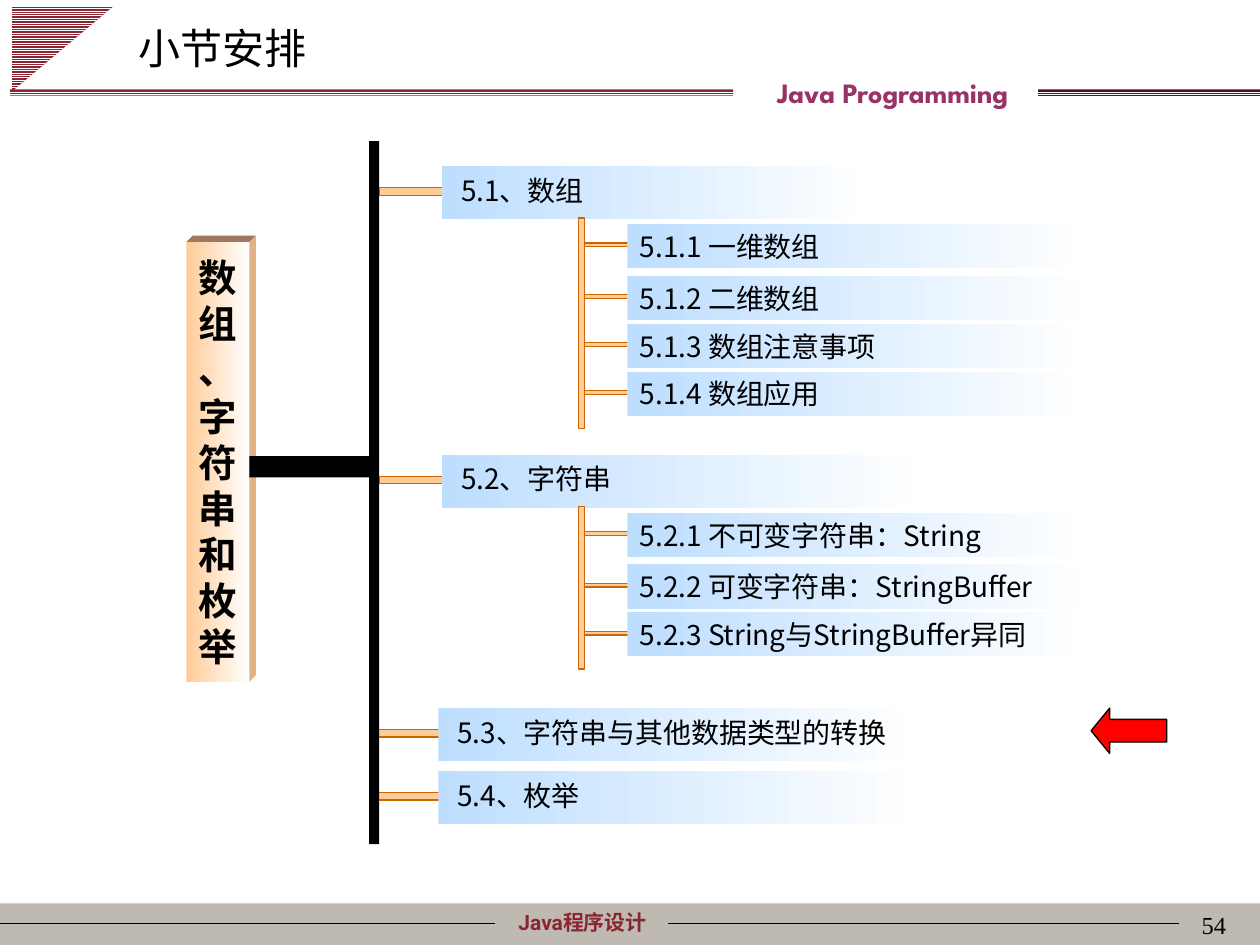
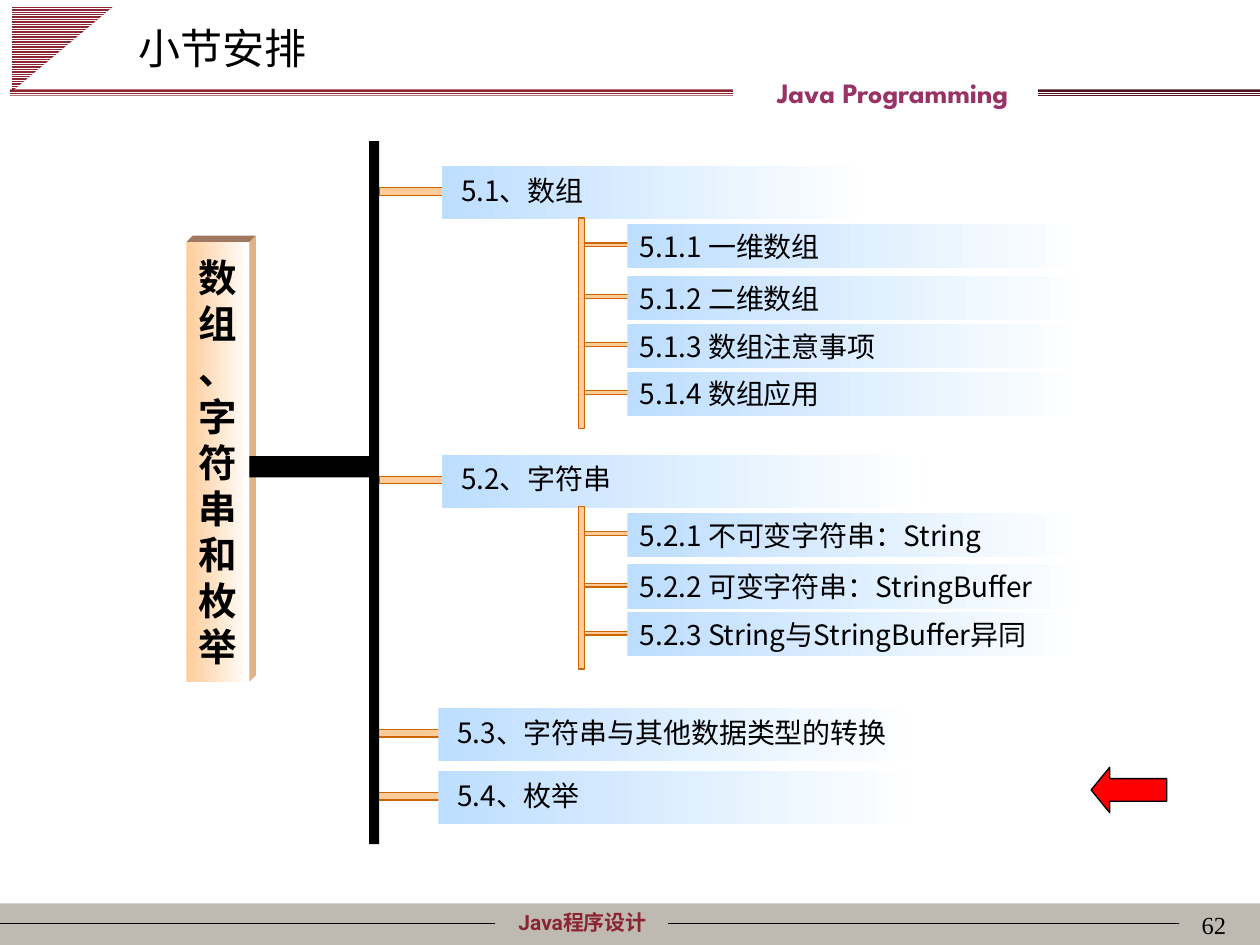
import dataclasses

import lxml.etree
import pptx
import pptx.util
import pptx.dml.color
import pptx.enum.dml
import pptx.enum.shapes
import pptx.enum.text
import pptx.oxml.ns

Inches = pptx.util.Inches
Pt = pptx.util.Pt
SHAPE = pptx.enum.shapes.MSO_SHAPE
ALIGN = pptx.enum.text.PP_ALIGN
ANCHOR = pptx.enum.text.MSO_ANCHOR


@dataclasses.dataclass(frozen=True)
class Theme:
    """Colours, fonts and type sizes shared by the slides."""
    black: str = "000000"
    white: str = "FFFFFF"
    maroon: str = "8C2532"
    dark_maroon: str = "4C141B"
    plum: str = "993366"
    footer: str = "BFBAB1"
    peach: str = "FFCC99"
    peach_line: str = "CC6600"
    peach_top: str = "A07860"
    peach_side: str = "E0B286"
    sky: str = "BDDEFF"
    red: str = "FF0000"
    body_font: str = "Noto Sans CJK SC"
    footer_font: str = "Roboto"
    course_font: str = "League Spartan"
    number_font: str = "Times New Roman"
    title_size: float = 24
    chapter_size: float = 22
    chapter_pitch: float = 26.4
    item_size: float = 16
    number_size: float = 14
    footer_size: float = 12
    line_width: float = 0.75


THEME = Theme()

SECTIONS = [
    (3.51, 1.32, 3.41, "5.1、数组",
     ["5.1.1 一维数组", "5.1.2 二维数组", "5.1.3 数组注意事项", "5.1.4 数组应用"]),
    (3.51, 3.61, 3.83, "5.2、字符串",
     ["5.2.1 不可变字符串：String", "5.2.2 可变字符串：StringBuffer",
      "5.2.3 String与StringBuffer异同"]),
    (3.48, 5.62, 3.83, "5.3、字符串与其他数据类型的转换", []),
    (3.48, 6.12, 3.83, "5.4、枚举", []),
]
TOPIC_OFFSETS = (0.46, 0.87, 1.25, 1.63)
TOPIC_WIDTHS = (3.65, 3.69, 3.64, 3.64)


def rgb(value):
    """Turn a hex string into a colour."""
    return pptx.dml.color.RGBColor.from_string(value)


def add_plain_shape(page, kind, place, line=None):
    """Add a preset shape without shadow and with an optional outline."""
    shape = page.shapes.add_shape(kind, *map(Inches, place))
    shape.shadow.inherit = False
    if line:
        shape.line.color.rgb = rgb(line)
        shape.line.width = Pt(THEME.line_width)
    else:
        shape.line.fill.background()
    return shape


def add_block(page, place, color, line=None, kind=SHAPE.RECTANGLE):
    """Add a shape with a solid fill."""
    block = add_plain_shape(page, kind, place, line)
    block.fill.solid()
    block.fill.fore_color.rgb = rgb(color)
    return block


def add_peach_bar(page, *place):
    """Add one thin outlined bar of the outline tree."""
    return add_block(page, place, THEME.peach, THEME.peach_line)


def add_striped(page, place, color, kind=SHAPE.RECTANGLE):
    """Add a shape filled with horizontal stripes."""
    shape = add_plain_shape(page, kind, place)
    shape.fill.patterned()
    shape.fill.pattern = pptx.enum.dml.MSO_PATTERN.LIGHT_HORIZONTAL
    shape.fill.fore_color.rgb = rgb(THEME.white)
    shape.fill.back_color.rgb = rgb(color)
    return shape


def add_faded(page, place, color):
    """Add a rectangle that fades to white at its right side."""
    shape = add_plain_shape(page, SHAPE.RECTANGLE, place)
    shape.fill.gradient()
    shape.fill.gradient_angle = 0
    for stop, shade in zip(shape.fill.gradient_stops, (color, THEME.white)):
        stop.color.rgb = rgb(shade)
    return shape


def write_text(box, text, size, color=THEME.black, font=THEME.body_font,
               bold=False, align=ALIGN.LEFT, anchor=ANCHOR.TOP):
    """Write one styled paragraph into a shape and return the paragraph."""
    frame = box.text_frame
    frame.word_wrap = True
    frame.vertical_anchor = anchor
    para = frame.paragraphs[0]
    para.text = text
    para.alignment = align
    para.font.size = Pt(size)
    para.font.bold = bold
    para.font.color.rgb = rgb(color)
    para.font.name = font
    defaults = para._p.pPr.find(pptx.oxml.ns.qn("a:defRPr"))
    east_asian = lxml.etree.SubElement(defaults, pptx.oxml.ns.qn("a:ea"))
    east_asian.set("typeface", THEME.body_font)
    return para


def add_label(page, place, text, size, **style):
    """Add a text box with one paragraph."""
    box = page.shapes.add_textbox(*map(Inches, place))
    write_text(box, text, size, **style)


def add_rule(page, start, end, top):
    """Add a thin horizontal line."""
    rule = page.shapes.add_connector(
        pptx.enum.shapes.MSO_CONNECTOR.STRAIGHT,
        Inches(start), Inches(top), Inches(end), Inches(top))
    rule.line.color.rgb = rgb(THEME.black)
    rule.line.width = Pt(THEME.line_width)
    lxml.etree.SubElement(rule._element.spPr, pptx.oxml.ns.qn("a:effectLst"))


def add_face(page, corners, color):
    """Add one visible side face of the chapter block."""
    points = [(Inches(x), Inches(y)) for x, y in corners]
    builder = page.shapes.build_freeform(*points[0])
    builder.add_line_segments(points[1:], close=True)
    face = builder.convert_to_shape()
    face.shadow.inherit = False
    face.fill.solid()
    face.fill.fore_color.rgb = rgb(color)
    face.line.fill.background()


def add_frame(page, number):
    """Add the header, title and footer that every slide shares."""
    add_block(page, (0, 7.17, 10, 0.33), THEME.footer)
    add_label(page, (3.62, 7.17, 2.01, 0.3), "Java程序设计", THEME.footer_size,
              color=THEME.maroon, font=THEME.footer_font, bold=True, align=ALIGN.CENTER)
    add_rule(page, 0, 3.93, 7.33)
    add_rule(page, 5.3, 9.36, 7.33)
    corner = add_striped(page, (0.16, -0.02, 0.68, 0.81), THEME.maroon, SHAPE.RIGHT_TRIANGLE)
    corner.rotation = 90
    add_striped(page, (8.24, 0.71, 1.76, 0.06), THEME.dark_maroon)
    add_striped(page, (0.08, 0.71, 5.74, 0.05), THEME.maroon)
    add_label(page, (5.08, 0.55, 4.01, 0.37), "Java Programming", THEME.item_size,
              color=THEME.plum, font=THEME.course_font, bold=True, align=ALIGN.CENTER)
    add_label(page, (7.75, 7.17, 2.08, 0.5), number, THEME.number_size,
              font=THEME.number_font, align=ALIGN.RIGHT)
    add_label(page, (1, 0.13, 2.85, 0.5), "小节安排", THEME.title_size)


def add_chapter(page):
    """Add the raised chapter block with its stacked characters."""
    left, top, width, height, depth = 1.48, 1.92, 0.5, 3.49, 0.05
    right, bottom = left + width, top + height
    add_face(page, [(left, top), (left + depth, top - depth),
                    (right + depth, top - depth), (right, top)], THEME.peach_top)
    add_face(page, [(right, top), (right + depth, top - depth),
                    (right + depth, bottom - depth), (right, bottom)], THEME.peach_side)
    block = add_faded(page, (left, top, width, height), THEME.peach)
    para = write_text(block, "数组、字符串和枚举", THEME.chapter_size, bold=True,
                      align=ALIGN.CENTER, anchor=ANCHOR.MIDDLE)
    para.line_spacing = Pt(THEME.chapter_pitch)
    para._p.pPr.set("hangingPunct", "0")
    block.text_frame.margin_left = block.text_frame.margin_right = Inches(0.08)


def add_section(page, left, top, width, heading, topics):
    """Add a section box with its topics and the bars that join them."""
    add_peach_bar(page, left - 0.5, top + 0.17, 0.51, 0.06)
    box = add_faded(page, (left, top, width, 0.42), THEME.sky)
    write_text(box, heading, THEME.item_size, align=ALIGN.JUSTIFY, anchor=ANCHOR.MIDDLE)
    box.text_frame.margin_left = Inches(0.15)
    box.text_frame.margin_bottom = Inches(0.09)
    for topic, offset, topic_width in zip(topics, TOPIC_OFFSETS, TOPIC_WIDTHS):
        add_peach_bar(page, 4.61, top + offset + 0.15, 0.51, 0.03)
        box = add_faded(page, (4.98, top + offset, topic_width, 0.35), THEME.sky)
        write_text(box, topic, THEME.item_size, anchor=ANCHOR.MIDDLE)
    if topics:
        last_offset = TOPIC_OFFSETS[len(topics) - 1]
        add_peach_bar(page, 4.59, top + 0.41, 0.05, last_offset + 0.04)


def add_outline_slide(deck, number, arrow_top):
    """Add one outline slide whose arrow marks the current section."""
    page = deck.slides.add_slide(deck.slide_layouts[6])
    add_frame(page, number)
    add_chapter(page)
    for section in SECTIONS:
        add_section(page, *section)
    add_block(page, (1.98, 3.62, 1, 0.17), THEME.black)
    add_block(page, (2.93, 1.12, 0.08, 5.58), THEME.black)
    arrow = add_block(page, (8.66, arrow_top, 0.6, 0.36), THEME.red, THEME.black,
                      SHAPE.LEFT_ARROW)
    arrow.adjustments[1] = 0.41


def main():
    """Build the deck and save it."""
    deck = pptx.Presentation()
    deck.slide_width, deck.slide_height = Inches(10), Inches(7.5)
    for number, arrow_top in (("54", 5.62), ("62", 6.09)):
        add_outline_slide(deck, number, arrow_top)
    deck.save("out.pptx")


if __name__ == "__main__":
    main()
